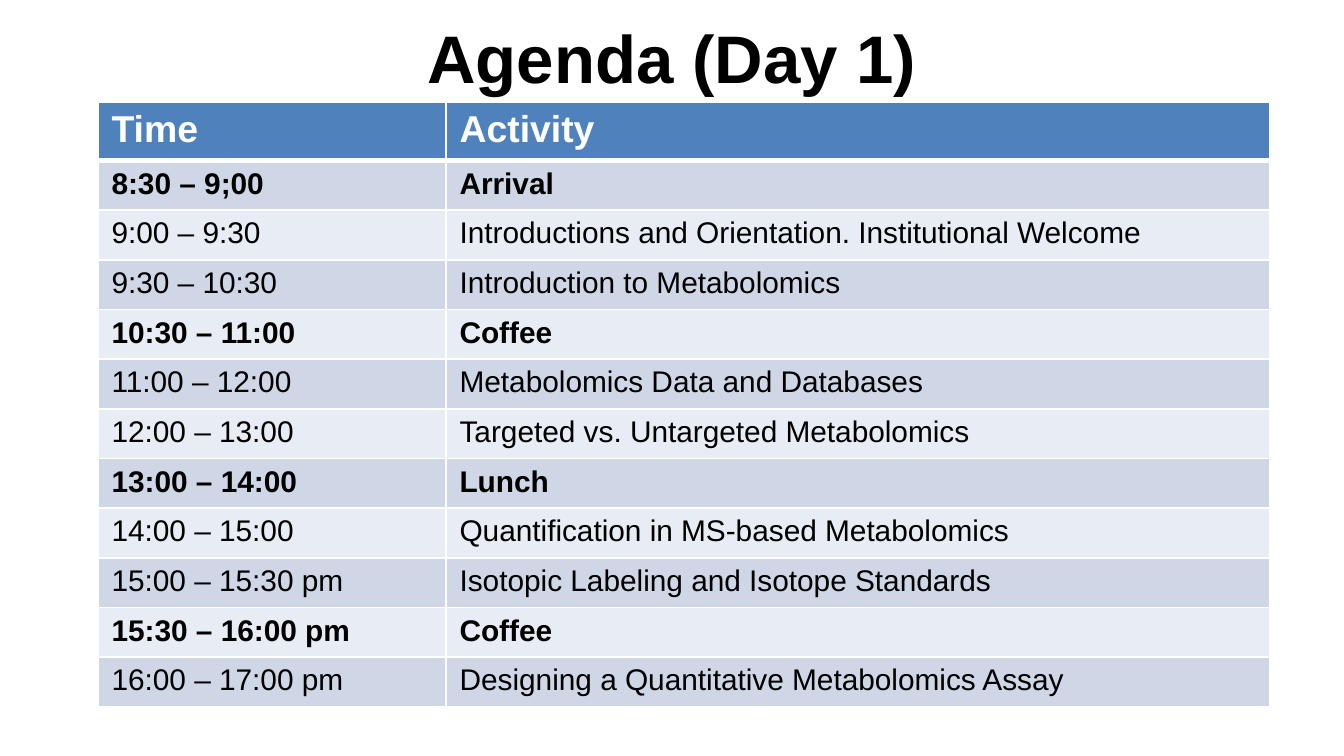
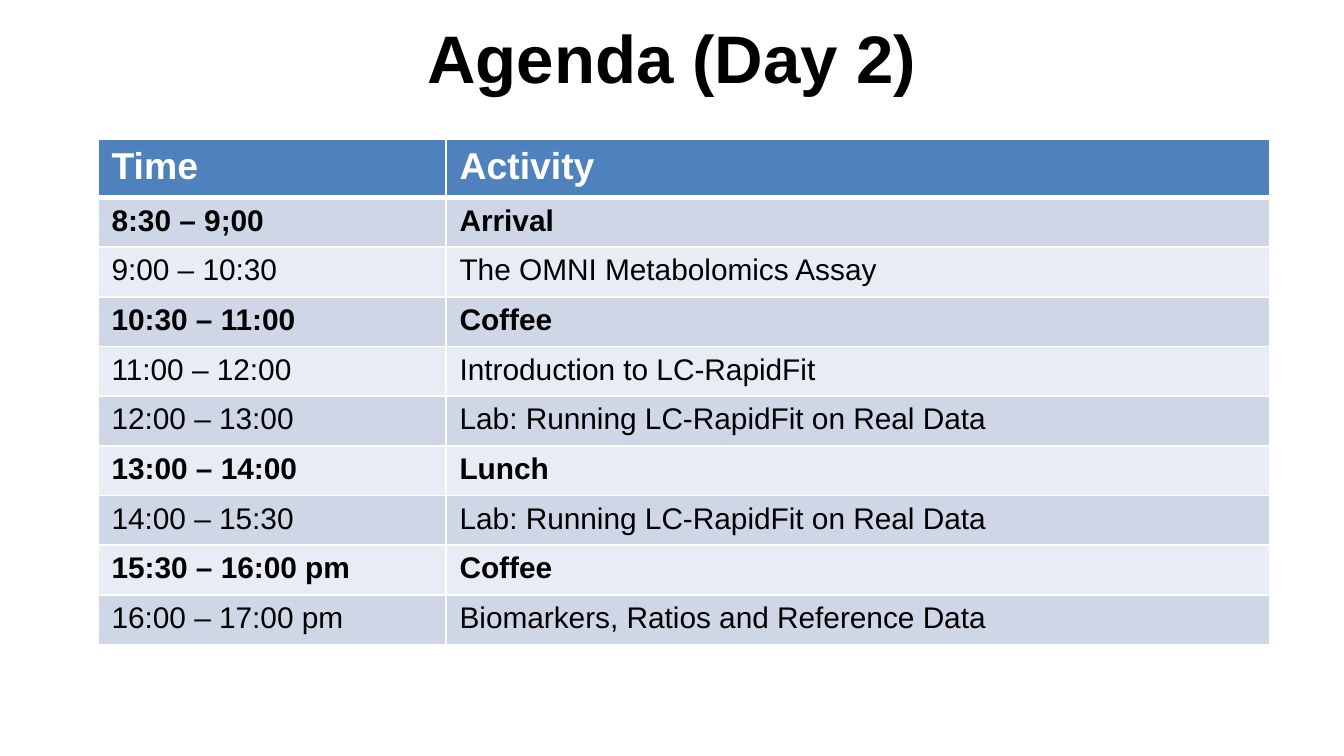
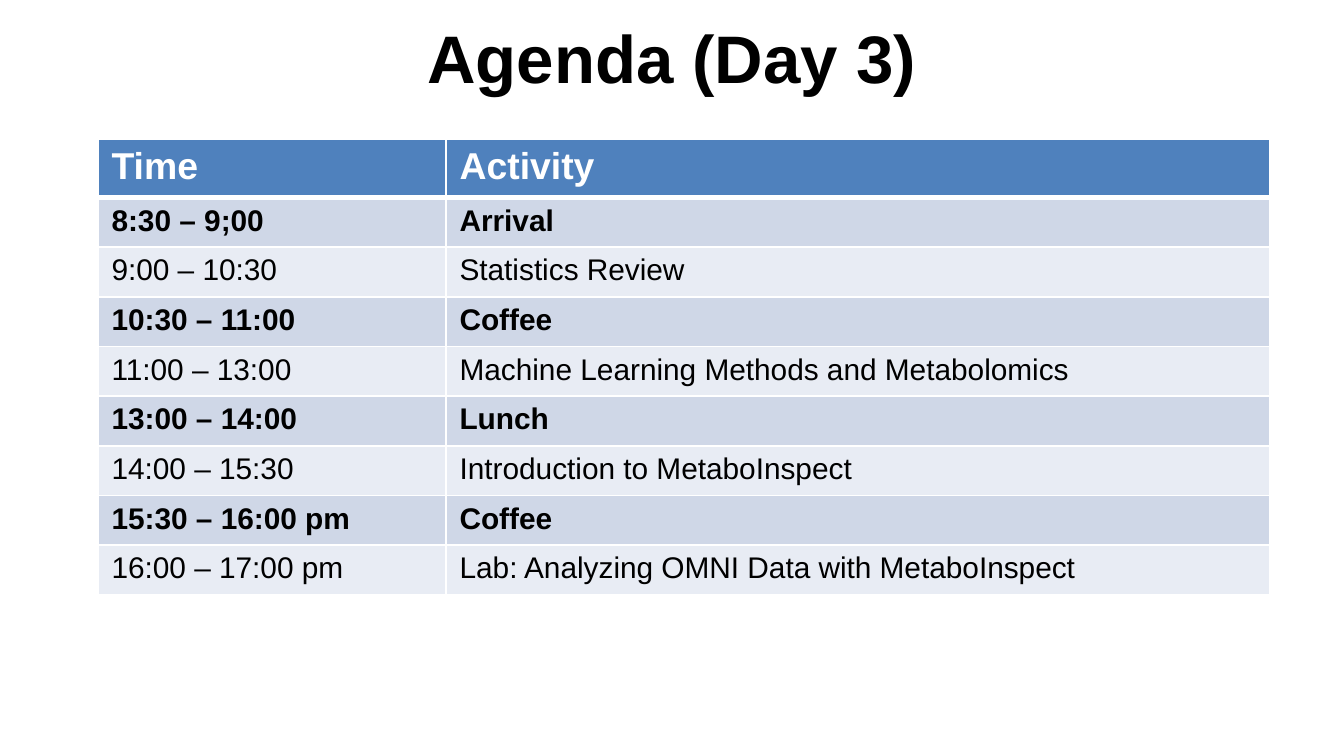
from dataclasses import dataclass

from lxml import etree
from pptx import Presentation
from pptx import util as u
from pptx.dml.color import RGBColor
from pptx.enum import text
from pptx.oxml import ns

PX = 4572  # EMU in one px, at 200 px to the inch
FONT = "Arial"
COLORS = {
    "black": "000000",
    "white": "FFFFFF",
    "header": "4F81BD",
    "band_dark": "CFD7E7",
    "band_light": "E8ECF4",
}

SLIDE_WIDTH, SLIDE_HEIGHT = 2000, 1125
TITLE_BOX = (100, -10, 1800, 188)
TABLE_LEFT = 146
COLUMN_WIDTHS = (518, 1226)
HEADER_HEIGHT, ROW_HEIGHT = 86, 74
HEADINGS = ("Time", "Activity")
HEADER_BORDERS = {"lnL": 1, "lnR": 1, "lnT": 1, "lnB": 3}  # points
BREAKS = {"Arrival", "Coffee", "Lunch"}


@dataclass(frozen=True)
class Session:
    time: str
    activity: str


@dataclass(frozen=True)
class Day:
    title: str
    table_top: int
    sessions: tuple[Session, ...]


ARRIVAL = Session("8:30 – 9;00", "Arrival")
MORNING_COFFEE = Session("10:30 – 11:00", "Coffee")
LUNCH = Session("13:00 – 14:00", "Lunch")
AFTERNOON_COFFEE = Session("15:30 – 16:00 pm", "Coffee")

DAYS = (
    Day("Agenda (Day 1)", 152, (
        ARRIVAL,
        Session("9:00 – 9:30", "Introductions and Orientation. Institutional Welcome"),
        Session("9:30 – 10:30", "Introduction to Metabolomics"),
        MORNING_COFFEE,
        Session("11:00 – 12:00", "Metabolomics Data and Databases"),
        Session("12:00 – 13:00", "Targeted vs. Untargeted Metabolomics"),
        LUNCH,
        Session("14:00 – 15:00", "Quantification in MS-based Metabolomics"),
        Session("15:00 – 15:30 pm", "Isotopic Labeling and Isotope Standards"),
        AFTERNOON_COFFEE,
        Session("16:00 – 17:00 pm", "Designing a Quantitative Metabolomics Assay"),
    )),
    Day("Agenda (Day 2)", 207, (
        ARRIVAL,
        Session("9:00 – 10:30", "The OMNI Metabolomics Assay"),
        MORNING_COFFEE,
        Session("11:00 – 12:00", "Introduction to LC-RapidFit"),
        Session("12:00 – 13:00", "Lab: Running LC-RapidFit on Real Data"),
        LUNCH,
        Session("14:00 – 15:30", "Lab: Running LC-RapidFit on Real Data"),
        AFTERNOON_COFFEE,
        Session("16:00 – 17:00 pm", "Biomarkers, Ratios and Reference Data"),
    )),
    Day("Agenda (Day 3)", 207, (
        ARRIVAL,
        Session("9:00 – 10:30", "Statistics Review"),
        MORNING_COFFEE,
        Session("11:00 – 13:00", "Machine Learning Methods and Metabolomics"),
        LUNCH,
        Session("14:00 – 15:30", "Introduction to MetaboInspect"),
        AFTERNOON_COFFEE,
        Session("16:00 – 17:00 pm", "Lab: Analyzing OMNI Data with MetaboInspect"),
    )),
)


def write_text(frame, content: str, *, size: int, color: str = "black",
               bold: bool = False, align=text.PP_ALIGN.LEFT) -> None:
    paragraph = frame.paragraphs[0]
    paragraph.alignment = align
    run = paragraph.add_run()
    run.text = content
    run.font.name = FONT
    run.font.size = u.Pt(size)
    run.font.bold = bold
    run.font.color.rgb = RGBColor.from_string(COLORS[color])


def add_title(slide, title: str) -> None:
    box = slide.shapes.add_textbox(*(length * PX for length in TITLE_BOX))
    frame = box.text_frame
    frame.word_wrap = True
    frame.vertical_anchor = text.MSO_ANCHOR.MIDDLE
    write_text(frame, title, size=36, bold=True, align=text.PP_ALIGN.CENTER)


def set_borders(cell, widths: dict[str, int], color: str) -> None:
    """Put the border lines, in schema order, ahead of the cell's fill."""
    properties = cell._tc.get_or_add_tcPr()
    for position, (side, width) in enumerate(widths.items()):
        line = etree.Element(ns.qn(f"a:{side}"), w=str(u.Pt(width)))
        fill = etree.SubElement(line, ns.qn("a:solidFill"))
        etree.SubElement(fill, ns.qn("a:srgbClr"), val=COLORS[color])
        properties.insert(position, line)


def fill_row(table, row: int, values: tuple[str, str], fill: str, **text_format) -> None:
    for column, value in enumerate(values):
        cell = table.cell(row, column)
        cell.fill.solid()
        cell.fill.fore_color.rgb = RGBColor.from_string(COLORS[fill])
        write_text(cell.text_frame, value, **text_format)


def add_agenda(slide, day: Day) -> None:
    """Draw the timetable; the default table style rules the body in white."""
    heights = [HEADER_HEIGHT] + [ROW_HEIGHT] * len(day.sessions)
    table = slide.shapes.add_table(
        len(heights), len(COLUMN_WIDTHS), TABLE_LEFT * PX, day.table_top * PX,
        sum(COLUMN_WIDTHS) * PX, sum(heights) * PX).table
    for column, width in zip(table.columns, COLUMN_WIDTHS):
        column.width = width * PX
    for row, height in zip(table.rows, heights):
        row.height = height * PX

    fill_row(table, 0, HEADINGS, "header", size=20, color="white", bold=True)
    for cell in table.rows[0].cells:
        set_borders(cell, HEADER_BORDERS, "white")
    for row, session in enumerate(day.sessions, start=1):
        band = "band_dark" if row % 2 else "band_light"
        fill_row(table, row, (session.time, session.activity), band,
                 size=16, bold=session.activity in BREAKS)


def main() -> None:
    presentation = Presentation()
    presentation.slide_width = SLIDE_WIDTH * PX
    presentation.slide_height = SLIDE_HEIGHT * PX
    blank_layout = presentation.slide_layouts[6]
    for day in DAYS:
        slide = presentation.slides.add_slide(blank_layout)
        add_title(slide, day.title)
        add_agenda(slide, day)
    presentation.save("out.pptx")


if __name__ == "__main__":
    main()
